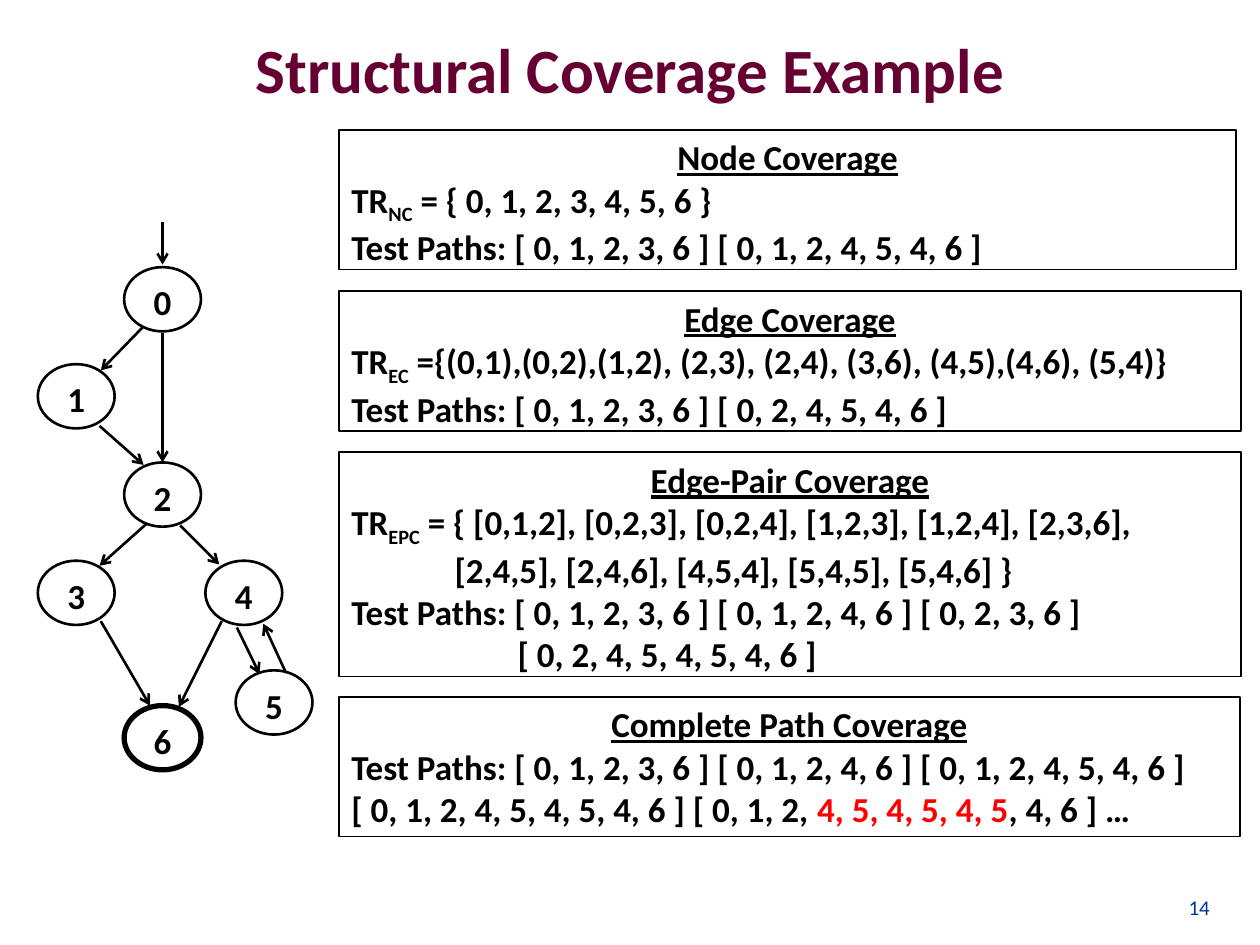
"""Build a slide comparing structural coverage criteria on one flow graph."""
from lxml import etree
from pptx import Presentation
from pptx import util as u
from pptx.dml.color import RGBColor
from pptx.enum import shapes, text
from pptx.oxml.ns import qn

BLACK, RED, MAROON, BLUE = "000000", "FF0000", "660033", "003399"
COLUMNS, ROWS = 100, 75
LEFT, CENTER, RIGHT = text.PP_ALIGN.LEFT, text.PP_ALIGN.CENTER, text.PP_ALIGN.RIGHT


def color(value):
    return RGBColor.from_string(value)


def add_run(paragraph, words, size=20, fill=BLACK, bold=True, underline=False, subscript=False):
    run = paragraph.add_run()
    run.text = words
    run.font.name = "Calibri"
    run.font.size = u.Pt(size)
    run.font.bold = bold
    run.font.underline = underline
    run.font.color.rgb = color(fill)
    if subscript:
        run.font._element.set("baseline", "-25000")


class CoverageSlide:
    def __init__(self, presentation):
        self.column = presentation.slide_width / COLUMNS
        self.row = presentation.slide_height / ROWS
        self.slide = presentation.slides.add_slide(presentation.slide_layouts[5])

    def place(self, left, top, width, height):
        return (round(left * self.column), round(top * self.row),
                round(width * self.column), round(height * self.row))

    def title(self, words, *area):
        shape = self.slide.shapes.title
        shape.left, shape.top, shape.width, shape.height = self.place(*area)
        frame = shape.text_frame
        frame.auto_size = text.MSO_AUTO_SIZE.NONE
        frame.vertical_anchor = text.MSO_ANCHOR.MIDDLE
        frame.paragraphs[0].alignment = CENTER
        add_run(frame.paragraphs[0], words, size=36, fill=MAROON)

    def page_number(self, words, *area):
        frame = self.slide.shapes.add_textbox(*self.place(*area)).text_frame
        frame.word_wrap = True
        frame.vertical_anchor = text.MSO_ANCHOR.BOTTOM
        frame.paragraphs[0].alignment = RIGHT
        add_run(frame.paragraphs[0], words, size=12, fill=BLUE, bold=False)

    def outline(self, kind, area, weight):
        shape = self.slide.shapes.add_shape(kind, *self.place(*area))
        shape.shadow.inherit = False
        shape.fill.background()
        shape.line.color.rgb = color(BLACK)
        shape.line.width = u.Pt(weight)
        return shape

    def panel(self, heading, lines, *area):
        frame = self.outline(shapes.MSO_SHAPE.RECTANGLE, area, 1).text_frame
        frame.word_wrap = True
        frame.vertical_anchor = text.MSO_ANCHOR.TOP
        frame.paragraphs[0].alignment = CENTER
        add_run(frame.paragraphs[0], heading, underline=True)
        for indent, runs in lines:
            paragraph = frame.add_paragraph()
            paragraph.alignment = LEFT
            properties = paragraph._p.get_or_add_pPr()
            properties.set("marL", str(round(indent * self.column)))
            for words, style in runs:
                add_run(paragraph, words, **style)

    def node(self, label, x, y, weight=1.5):
        width, height = 6.1, 5.1
        area = (x - width / 2, y - height / 2, width, height)
        frame = self.outline(shapes.MSO_SHAPE.OVAL, area, weight).text_frame
        frame.margin_left = frame.margin_right = frame.margin_bottom = 0
        frame.margin_top = u.Pt(3)
        frame.word_wrap = False
        frame.vertical_anchor = text.MSO_ANCHOR.MIDDLE
        frame.paragraphs[0].alignment = CENTER
        add_run(frame.paragraphs[0], label)

    def arrow(self, *ends):
        line = self.slide.shapes.add_connector(shapes.MSO_CONNECTOR.STRAIGHT, *self.place(*ends))
        line.line.color.rgb = color(BLACK)
        line.line.width = u.Pt(1.5)
        etree.SubElement(line.line._get_or_add_ln(), qn("a:tailEnd"), type="arrow")
        etree.SubElement(line._element.spPr, qn("a:effectLst"))


def plain(words, indent=0):
    return indent, [(words, {})]


def requirements(criterion, words):
    return 0, [("TR", {}), (criterion, {"subscript": True}), (words, {})]


PANELS = [
    ("Node Coverage", 10.3, 71.2, 11.1, [
        requirements("NC", " = { 0, 1, 2, 3, 4, 5, 6 }"),
        plain("Test Paths: [ 0, 1, 2, 3, 6 ] [ 0, 1, 2, 4, 5, 4, 6 ]")]),
    ("Edge Coverage", 23.1, 71.6, 11.1, [
        requirements("EC", " ={(0,1),(0,2),(1,2), (2,3), (2,4), (3,6), (4,5),(4,6), (5,4)}"),
        plain("Test Paths: [ 0, 1, 2, 3, 6 ] [ 0, 2, 4, 5, 4, 6 ]")]),
    ("Edge-Pair Coverage", 35.9, 71.6, 17.8, [
        requirements("EPC", " = { [0,1,2], [0,2,3], [0,2,4], [1,2,3], [1,2,4], [2,3,6],"),
        plain("[2,4,5], [2,4,6], [4,5,4], [5,4,5], [5,4,6] }", 8.2),
        plain("Test Paths: [ 0, 1, 2, 3, 6 ] [ 0, 1, 2, 4, 6 ] [ 0, 2, 3, 6 ]"),
        plain("[ 0, 2, 4, 5, 4, 5, 4, 6 ]", 13.2)]),
    ("Complete Path Coverage", 55.3, 71.5, 11.1, [
        (0, [("Test Paths: [ 0, 1, 2, 3, 6 ] [ 0, 1, 2, 4, 6 ] [ 0, 1, 2, 4, 5, 4, 6 ] "
              "[ 0, 1, 2, 4, 5, 4, 5, 4, 6 ] [ 0, 1, 2, ", {}),
             ("4, 5, 4, 5, 4, 5", {"fill": RED}), (", 4, 6 ] …", {})])]),
]
NODES = [(12.9, 23.75), (6.05, 31.45), (12.9, 39.25), (6.05, 47.05),
         (19.35, 47.05), (21.75, 55.75), (12.9, 58.55)]
FINAL_NODE = 6
ARROWS = [
    (12.9, 17.6, 12.9, 21), (11.3, 26, 8, 29.4), (12.9, 26.4, 12.9, 36.7),
    (7.9, 33.8, 11.4, 36.9), (11.6, 41.6, 7.9, 44.9), (14.3, 41.7, 17.4, 44.8),
    (8, 49.3, 11.9, 56), (17.6, 49.3, 14.2, 56.1), (18.8, 49.8, 20.6, 53.5),
    (22.7, 53.4, 20.9, 49.5),
]


def main():
    presentation = Presentation()
    presentation.slide_width, presentation.slide_height = u.Inches(10), u.Inches(7.5)
    slide = CoverageSlide(presentation)
    slide.title("Structural Coverage Example", 5, -0.8, 90, 12.5)
    slide.page_number("14", 90.1, 68.3, 6.9, 5.2)
    for heading, top, width, height, lines in PANELS:
        slide.panel(heading, lines, 26.9, top, width, height)
    for number, (x, y) in enumerate(NODES):
        slide.node(str(number), x, y, weight=3 if number == FINAL_NODE else 1.5)
    for x1, y1, x2, y2 in ARROWS:
        slide.arrow(x1, y1, x2, y2)
    presentation.save("out.pptx")


if __name__ == "__main__":
    main()
